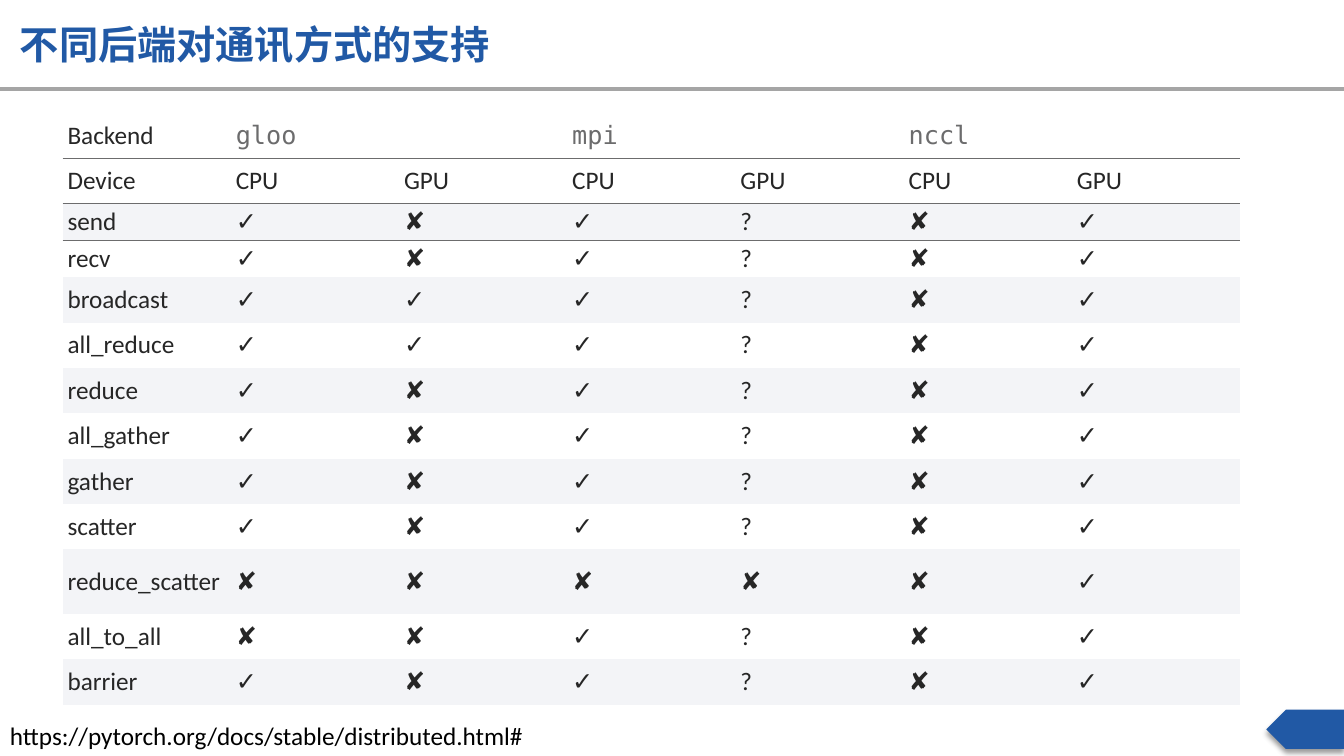
"""Build a slide with a table of communication support by backend and device."""
from dataclasses import dataclass

from lxml import etree
from pptx import Presentation
from pptx.dml.color import RGBColor
from pptx.enum.shapes import MSO_CONNECTOR, MSO_SHAPE
from pptx.enum.text import MSO_ANCHOR, MSO_AUTO_SIZE
from pptx.oxml.ns import qn
from pptx.slide import Slide
from pptx.table import _Cell
from pptx.text.text import TextFrame
from pptx.util import Emu, Pt

STRAIGHT = MSO_CONNECTOR.STRAIGHT
PENTAGON = MSO_SHAPE.PENTAGON
MIDDLE = MSO_ANCHOR.MIDDLE
TOP = MSO_ANCHOR.TOP
FIT_SHAPE = MSO_AUTO_SIZE.SHAPE_TO_FIT_TEXT
NO_AUTO_SIZE = MSO_AUTO_SIZE.NONE

EMU_PER_PX = 9144
BODY_FONT = "Calibri"
CODE_FONT = "DejaVu Sans Mono"
TITLE_FONT = "Times New Roman"
PLAIN_TABLE_STYLE = "{2D5ABB26-0587-4C30-8999-92F81FD0307C}"
COLORS = {
    "blue": "2159A5",
    "divider": "A5A5A5",
    "gray": "6C6C6D",
    "dark": "262626",
    "black": "000000",
    "white": "FFFFFF",
    "band": "F3F4F7",
}


@dataclass(frozen=True)
class Box:
    left: int
    top: int
    width: int
    height: int


@dataclass(frozen=True)
class Label:
    text: str
    box: Box
    font: str
    size: int
    color: str
    bold: bool = False
    anchor: MSO_ANCHOR = TOP
    auto_size: MSO_AUTO_SIZE = NO_AUTO_SIZE


@dataclass(frozen=True)
class Operation:
    name: str
    marks: str
    height: int = 45


LABELS = [
    Label("不同后端对通讯方式的支持", Box(10, 14, 900, 58), TITLE_FONT, 28, "blue",
          bold=True, anchor=MIDDLE),
    Label("https://pytorch.org/docs/stable/distributed.html#", Box(0, 710, 698, 40),
          BODY_FONT, 18, "black", auto_size=FIT_SHAPE),
]
BACKENDS = ["gloo", "mpi", "nccl"]
DEVICES = ["CPU", "GPU"]
OPERATIONS = [
    Operation("send", "✓✘✓?✘✓", 26),
    Operation("recv", "✓✘✓?✘✓", 26),
    Operation("broadcast", "✓✓✓?✘✓"),
    Operation("all_reduce", "✓✓✓?✘✓"),
    Operation("reduce", "✓✘✓?✘✓"),
    Operation("all_gather", "✓✘✓?✘✓"),
    Operation("gather", "✓✘✓?✘✓"),
    Operation("scatter", "✓✘✓?✘✓"),
    Operation("reduce_scatter", "✘✘✘✘✘✓", 64),
    Operation("all_to_all", "✘✘✓?✘✓"),
    Operation("barrier", "✓✘✓?✘✓"),
]
HEADER_HEIGHT = 45
HEADER_ROWS = 2


def px(value: int) -> Emu:
    return Emu(value * EMU_PER_PX)


def rgb(name: str) -> RGBColor:
    return RGBColor.from_string(COLORS[name])


def place(box: Box) -> tuple[Emu, Emu, Emu, Emu]:
    return px(box.left), px(box.top), px(box.width), px(box.height)


def write(frame: TextFrame, text: str, *, font: str = BODY_FONT, size: int = 18,
          color: str = "dark", bold: bool = False) -> None:
    run = frame.paragraphs[0].add_run()
    run.text = text
    run.font.name = font
    run.font.size = Pt(size)
    run.font.bold = bold
    run.font.color.rgb = rgb(color)


def add_label(slide: Slide, label: Label) -> None:
    frame = slide.shapes.add_textbox(*place(label.box)).text_frame
    frame.word_wrap = True
    frame.auto_size = label.auto_size
    frame.vertical_anchor = label.anchor
    write(frame, label.text, font=label.font, size=label.size, color=label.color,
          bold=label.bold)


def add_divider(slide: Slide) -> None:
    line = slide.shapes.add_connector(STRAIGHT, px(-30), px(88), px(1363), px(88))
    line.line.color.rgb = rgb("divider")
    line.line.width = Pt(3)
    etree.SubElement(line._element.spPr, qn("a:effectLst"))


def add_page_marker(slide: Slide) -> None:
    marker = slide.shapes.add_shape(PENTAGON, *place(Box(1256, 704, 77, 39)))
    marker.shadow.inherit = False
    marker.fill.solid()
    marker.fill.fore_color.rgb = rgb("blue")
    marker.line.fill.background()
    properties = marker._element.spPr
    properties.find(qn("a:xfrm")).set("flipH", "1")
    shadow = etree.SubElement(
        properties.find(qn("a:effectLst")), qn("a:outerShdw"), blurRad=str(Pt(4)),
        dist=str(Pt(3)), dir="5400000", algn="t", rotWithShape="0")
    color = etree.SubElement(shadow, qn("a:srgbClr"), val=COLORS["black"])
    etree.SubElement(color, qn("a:alpha"), val="40000")


def add_border(cell: _Cell, side: str) -> None:
    border = etree.SubElement(cell._tc.get_or_add_tcPr(), qn(f"a:{side}"), w=str(Pt(1)))
    fill = etree.SubElement(border, qn("a:solidFill"))
    etree.SubElement(fill, qn("a:srgbClr"), val=COLORS["gray"])


def format_cell(cell: _Cell, row: int) -> None:
    cell.margin_left = cell.margin_right = px(5)
    cell.margin_top = cell.margin_bottom = px(3)
    cell.vertical_anchor = MIDDLE
    if 0 < row <= HEADER_ROWS:
        add_border(cell, "lnT")
    if row < HEADER_ROWS:
        add_border(cell, "lnB")
    banded = row >= HEADER_ROWS and row % 2 == 0
    cell.fill.solid()
    cell.fill.fore_color.rgb = rgb("band" if banded else "white")


def add_support_table(slide: Slide) -> None:
    backend_cells = [text for name in BACKENDS for text in (name, "")]
    rows = [["Backend", *backend_cells], ["Device", *DEVICES * len(BACKENDS)]]
    rows += [[operation.name, *operation.marks] for operation in OPERATIONS]
    heights = [HEADER_HEIGHT] * HEADER_ROWS + [item.height for item in OPERATIONS]
    box = Box(62, 112, 1168, sum(heights))
    table = slide.shapes.add_table(len(rows), len(rows[0]), *place(box)).table
    table.first_row = table.horz_banding = False
    table._tbl.tblPr.find(qn("a:tableStyleId")).text = PLAIN_TABLE_STYLE
    for row, (texts, height) in enumerate(zip(rows, heights)):
        table.rows[row].height = px(height)
        for column, text in enumerate(texts):
            cell = table.cell(row, column)
            format_cell(cell, row)
            if row == 0 and column > 0:
                if text:
                    cell.merge(table.cell(row, column + len(DEVICES) - 1))
                    write(cell.text_frame, text, font=CODE_FONT, color="gray")
            else:
                write(cell.text_frame, text)


def main() -> None:
    presentation = Presentation()
    presentation.slide_width = px(1333)
    presentation.slide_height = px(750)
    slide = presentation.slides.add_slide(presentation.slide_layouts[6])
    add_divider(slide)
    add_page_marker(slide)
    title, source = LABELS
    add_label(slide, title)
    add_support_table(slide)
    add_label(slide, source)
    presentation.save("out.pptx")


if __name__ == "__main__":
    main()
